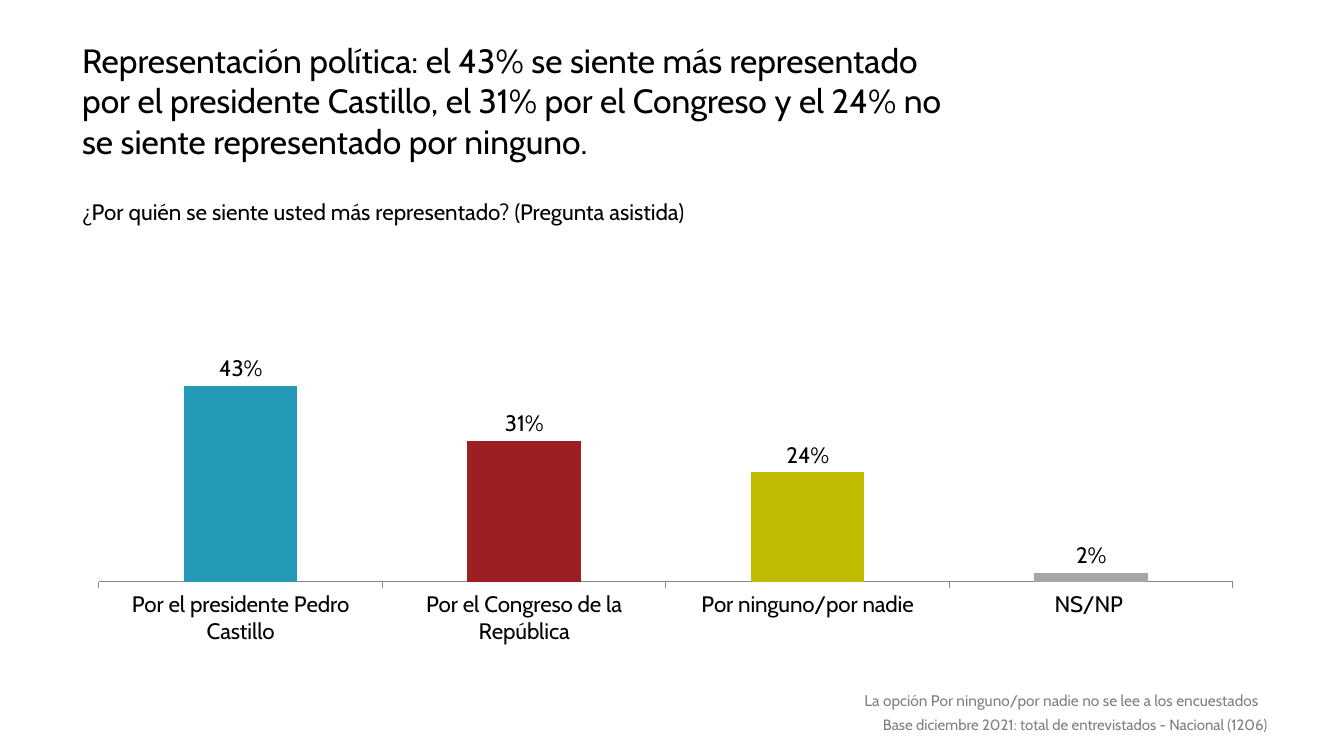
from dataclasses import dataclass

from lxml.etree import SubElement
from pptx import Presentation
from pptx.chart.data import CategoryChartData
from pptx.dml.color import RGBColor
from pptx.enum.chart import XL_CHART_TYPE, XL_LABEL_POSITION, XL_TICK_LABEL_POSITION, XL_TICK_MARK
from pptx.enum.shapes import MSO_SHAPE
from pptx.enum.text import MSO_ANCHOR, MSO_AUTO_SIZE, PP_ALIGN
from pptx.oxml.ns import qn
from pptx.util import Emu, Pt


@dataclass(frozen=True)
class Theme:
    font: str = "Cabin"
    ink: str = "000000"
    paper: str = "FFFFFF"
    muted: str = "808080"
    axis: str = "888888"
    title: float = 24
    body: float = 16
    note: float = 11
    base: float = 10.7


THEME = Theme()
SLIDE = (1344, 756)
TITLE = {
    "text": "Representación política: el 43% se siente más representado por el presidente "
            "Castillo, el 31% por el Congreso y el 24% no se siente representado por ninguno.",
    "box": (72, 35, 897, 125), "size": THEME.title, "color": THEME.ink,
    "align": PP_ALIGN.LEFT, "spacing": 1.0,
}
TEXTS = [
    {"text": "Base diciembre 2021: total de entrevistados - Nacional (1206)",
     "box": (873, 713, 423, 26), "size": THEME.base, "color": THEME.muted,
     "align": PP_ALIGN.JUSTIFY, "spacing": 0.9},
    {"text": "¿Por quién se siente usted más representado? (Pregunta asistida)",
     "box": (72, 193, 706, 37), "size": THEME.body, "color": THEME.ink,
     "align": PP_ALIGN.LEFT, "spacing": 1.0},
]
NOTE = {
    "text": "La opción Por ninguno/por nadie no se lee a los encuestados",
    "box": (845, 686, 424, 29), "size": THEME.note, "color": THEME.muted,
    "align": PP_ALIGN.RIGHT, "spacing": 1.0,
}
ANSWERS = [
    ("Por el presidente Pedro Castillo", 0.43, "2599B8"),
    ("Por el Congreso de la República", 0.31, "9B1F23"),
    ("Por ninguno/por nadie", 0.24, "C1BB00"),
    ("NS/NP ", 0.02, "A6A6A6"),
]
CHART_BOX = (98, 109, 1143, 555)
PLOT_BOX = (99, 126, 1134, 456)


def px(n):
    return Emu(round(n * 914400 / 100.8))


def apply(obj, values):
    for name, value in values.items():
        setattr(obj, name, value)


def style_font(font, size, color):
    apply(font, {"name": THEME.font, "size": Pt(size), "bold": False})
    font.color.rgb = RGBColor.from_string(color)


def paint(fill, color):
    fill.solid()
    fill.fore_color.rgb = RGBColor.from_string(color)


def write(s, item):
    apply(s, dict(zip(("left", "top", "width", "height"), map(px, item["box"]))))
    tf = s.text_frame
    apply(tf, {"word_wrap": True, "auto_size": MSO_AUTO_SIZE.NONE,
               "vertical_anchor": MSO_ANCHOR.TOP})
    p = tf.paragraphs[0]
    apply(p, {"alignment": item["align"], "line_spacing": item["spacing"],
              "space_before": Pt(0)})
    r = p.add_run()
    r.text = item["text"]
    style_font(r.font, item["size"], item["color"])


def place_plot(chart):
    left, top, width, height = CHART_BOX
    x, y, w, h = PLOT_BOX
    values = {"layoutTarget": "inner", "xMode": "edge", "yMode": "edge",
              "x": (x - left) / width, "y": (y - top) / height,
              "w": w / width, "h": h / height}
    area = chart.element.find(".//" + qn("c:plotArea"))
    layout = area.find(qn("c:layout"))
    if layout is None:
        layout = SubElement(area, qn("c:layout"))
        area.insert(0, layout)
    manual = SubElement(layout, qn("c:manualLayout"))
    for tag, value in values.items():
        SubElement(manual, qn("c:" + tag)).set("val", str(value))


def add_answers(slide):
    names, values, colors = zip(*ANSWERS)
    data = CategoryChartData(number_format="0%")
    data.categories = names
    data.add_series("Series 1", values)
    chart = slide.shapes.add_chart(
        XL_CHART_TYPE.COLUMN_CLUSTERED, *map(px, CHART_BOX), data).chart
    apply(chart, {"has_title": False, "has_legend": False})
    style_font(chart.font, THEME.body, THEME.ink)
    apply(chart.value_axis, {"minimum_scale": 0, "maximum_scale": 1,
                             "has_major_gridlines": False, "visible": False})
    axis = chart.category_axis
    apply(axis, {"major_tick_mark": XL_TICK_MARK.OUTSIDE,
                 "minor_tick_mark": XL_TICK_MARK.NONE,
                 "tick_label_position": XL_TICK_LABEL_POSITION.LOW,
                 "has_major_gridlines": False})
    axis.format.line.color.rgb = RGBColor.from_string(THEME.axis)
    axis.format.line.width = Pt(0.75)
    style_font(axis.tick_labels.font, THEME.body, THEME.ink)
    plot = chart.plots[0]
    apply(plot, {"gap_width": 150, "overlap": -1, "vary_by_categories": False,
                 "has_data_labels": True})
    labels = plot.data_labels
    apply(labels, {"show_value": True, "position": XL_LABEL_POSITION.OUTSIDE_END,
                   "number_format": "0%", "number_format_is_linked": False})
    style_font(labels.font, THEME.body, THEME.ink)
    for i, color in enumerate(colors):
        paint(plot.series[0].points[i].format.fill, color)
    place_plot(chart)


def add_note(slide):
    s = slide.shapes.add_shape(MSO_SHAPE.RECTANGLE, *map(px, NOTE["box"]))
    s.shadow.inherit = False
    paint(s.fill, THEME.paper)
    s.line.fill.background()
    write(s, NOTE)


def main():
    prs = Presentation()
    prs.slide_width, prs.slide_height = map(px, SLIDE)
    slide = prs.slides.add_slide(prs.slide_layouts[5])
    write(slide.shapes.title, TITLE)
    for item in TEXTS:
        write(slide.shapes.add_textbox(*map(px, item["box"])), item)
    add_answers(slide)
    add_note(slide)
    prs.save("out.pptx")


if __name__ == "__main__":
    main()
